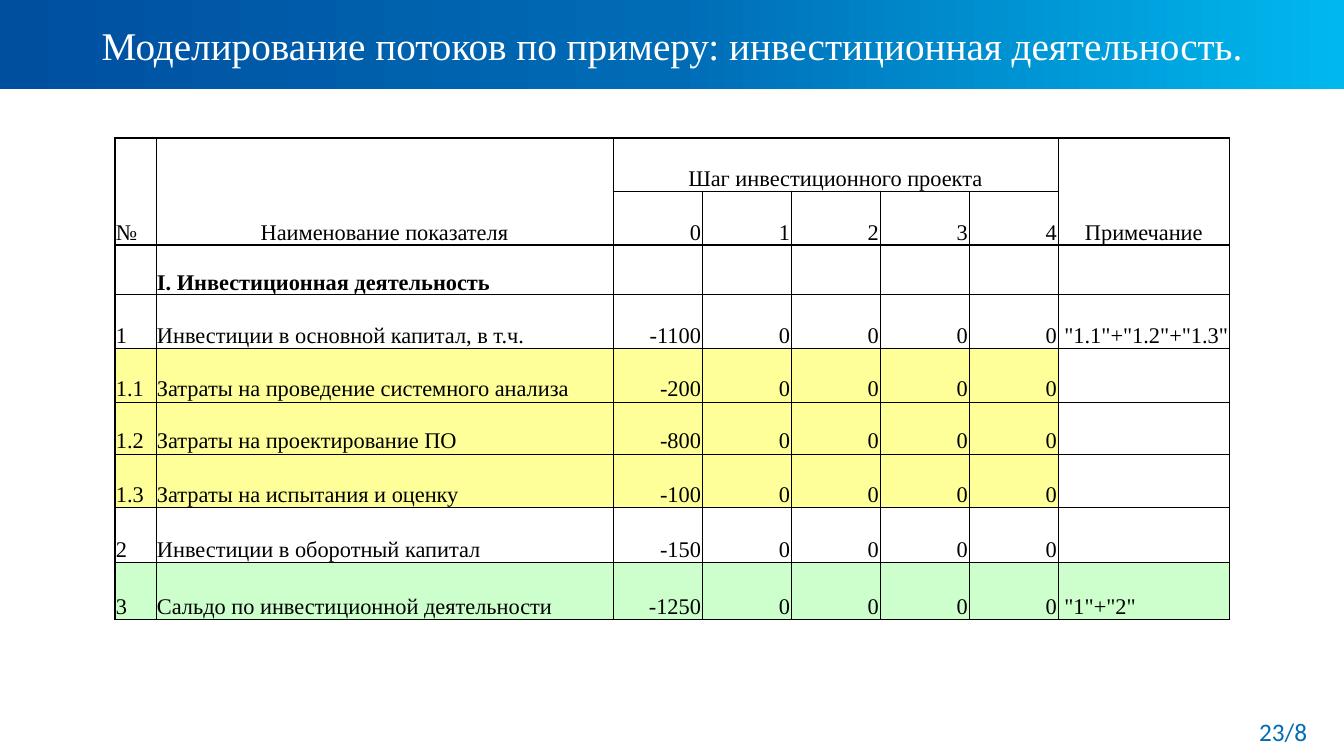
import copy
import pptx
import pptx.dml.color
import pptx.enum.shapes
import pptx.enum.text
import pptx.oxml
import pptx.oxml.ns
import pptx.util

PX = 914400 / 100.8
ALIGN = pptx.enum.text.PP_ALIGN
ANCHOR = pptx.enum.text.MSO_ANCHOR


def px(length):
    return pptx.util.Emu(round(length * PX))


def color(value):
    return pptx.dml.color.RGBColor.from_string(value)


deck = pptx.Presentation()
deck.slide_width = px(1344)
deck.slide_height = px(756)
page = deck.slides.add_slide(deck.slide_layouts[6])

band = page.shapes.add_shape(
    pptx.enum.shapes.MSO_SHAPE.RECTANGLE, 0, 0, px(1344), px(89))
band.shadow.inherit = False
band.line.fill.background()
band.fill.gradient()
band.fill.gradient_angle = 0
stop_list = band.element.spPr.find(".//" + pptx.oxml.ns.qn("a:gsLst"))
stop_list.append(copy.deepcopy(stop_list[0]))
band_stops = [(0, "004F9F"), (0.5, "006CB6"), (1, "00B8EE")]
for stop, (position, value) in zip(band.fill.gradient_stops, band_stops):
    stop.position = position
    stop.color.rgb = color(value)

labels = [
    ("23/8", 1226, 711, 91, 40, 5, ALIGN.RIGHT, 18, "Calibri", "006CB6"),
    ("Моделирование потоков по примеру: инвестиционная деятельность.",
     37, 13, 1270, 76, 17, ALIGN.CENTER, 28, "Times New Roman", "FFFFFF"),
]
for text, left, top, width, height, bottom, align, size, face, ink in labels:
    box = page.shapes.add_textbox(px(left), px(top), px(width), px(height))
    frame = box.text_frame
    frame.word_wrap = True
    frame.vertical_anchor = ANCHOR.MIDDLE
    frame.margin_top = px(5)
    frame.margin_bottom = px(bottom)
    para = frame.paragraphs[0]
    para.text = text
    para.alignment = align
    para.font.size = pptx.util.Pt(size)
    para.font.name = face
    para.font.color.rgb = color(ink)

zeros = ["0"] * 4
rows = [
    ["№", "Наименование показателя", "Шаг инвестиционного проекта",
     "", "", "", "", "Примечание"],
    ["", "", "0", "1", "2", "3", "4", ""],
    ["", "I. Инвестиционная деятельность", "", "", "", "", "", ""],
    ["1", "Инвестиции в основной капитал, в т.ч.", "-1100", *zeros,
     ' "1.1"+"1.2"+"1.3"'],
    ["1.1", "Затраты на проведение системного анализа", "-200", *zeros, ""],
    ["1.2", "Затраты на проектирование ПО", "-800", *zeros, ""],
    ["1.3", "Затраты на испытания и оценку", "-100", *zeros, ""],
    ["2", "Инвестиции в оборотный капитал", "-150", *zeros, ""],
    ["3", "Сальдо по инвестиционной деятельности", "-1250", *zeros,
     ' "1"+"2"'],
]
widths = [41, 457] + [89] * 5 + [172]
heights = [53, 54, 50, 54, 53, 52, 54, 55, 57]
filled_columns = {4: ("FFFF99", 7), 5: ("FFFF99", 7), 6: ("FFFF99", 7),
                  8: ("CCFFCC", 8)}
thin_rules = (1, 5, 6)

table = page.shapes.add_table(
    len(rows), len(widths), px(115), px(138),
    px(sum(widths)), px(sum(heights))).table
table.first_row = False
table.horz_banding = False
for column, width in zip(table.columns, widths):
    column.width = px(width)
for line, height in zip(table.rows, heights):
    line.height = px(height)
for column in (0, 1, 7):
    table.cell(0, column).merge(table.cell(1, column))
table.cell(0, 2).merge(table.cell(0, 6))

for row, texts in enumerate(rows):
    fill, fill_end = filled_columns.get(row, ("", 0))
    for column, text in enumerate(texts):
        cell = table.cell(row, column)
        if cell.is_spanned:
            continue
        cell.vertical_anchor = ANCHOR.BOTTOM
        cell.margin_left = cell.margin_right = cell.margin_top = px(1)
        cell.margin_bottom = 0
        para = cell.text_frame.paragraphs[0]
        para.text = text
        if row == 0 and column > 0:
            para.alignment = ALIGN.CENTER
        elif 2 <= column <= 6:
            para.alignment = ALIGN.RIGHT
        else:
            para.alignment = ALIGN.LEFT
        para.font.size = pptx.util.Pt(16)
        para.font.name = "Times New Roman"
        para.font.bold = row == 2
        para.font.color.rgb = color("000000")

        right = column + (cell.span_width if cell.is_merge_origin else 1)
        bottom = row + (cell.span_height if cell.is_merge_origin else 1)
        borders = [("lnL", column in (0, 8)), ("lnR", right in (0, 8)),
                   ("lnT", row not in thin_rules),
                   ("lnB", bottom not in thin_rules)]
        properties = cell._tc.get_or_add_tcPr()
        for side, thick in borders:
            properties.append(pptx.oxml.parse_xml(
                f'<a:{side} {pptx.oxml.ns.nsdecls("a")} '
                f'w="{12700 if thick else 6350}"><a:solidFill>'
                f'<a:srgbClr val="000000"/></a:solidFill></a:{side}>'))
        if column < fill_end:
            cell.fill.solid()
            cell.fill.fore_color.rgb = color(fill)
        else:
            cell.fill.background()

deck.save("out.pptx")
